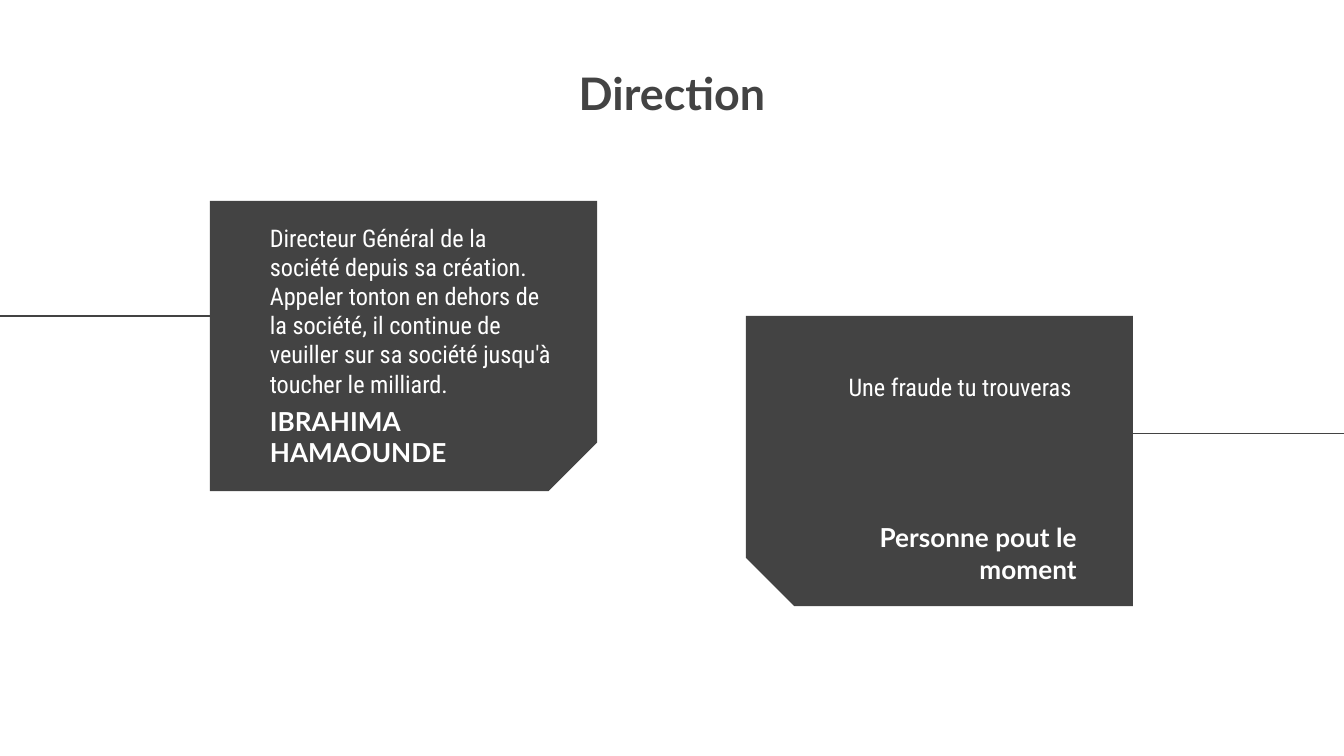
from dataclasses import dataclass

from lxml.etree import SubElement
from pptx import Presentation
from pptx.dml.color import RGBColor
from pptx.enum.shapes import MSO_CONNECTOR as Connector, MSO_SHAPE as Shape
from pptx.enum.text import MSO_ANCHOR as Anchor, PP_ALIGN as Align
from pptx.oxml.ns import qn
from pptx.util import Pt


@dataclass(frozen=True)
class Theme:
    """Colours, fonts and type sizes of the slide."""
    dark: RGBColor = RGBColor(0x43, 0x43, 0x43)
    light: RGBColor = RGBColor(0xFF, 0xFF, 0xFF)
    heading_font: str = "Lato"
    body_font: str = "Roboto Condensed"
    title_size: float = 24
    name_size: float = 14
    body_size: float = 13
    rule_width: float = 0.75


THEME = Theme()
SLIDE_W, SLIDE_H = 720, 405
CARD_W, CARD_H = 207.4, 155.5
TITLE = dict(name=THEME.heading_font, size=Pt(THEME.title_size), bold=True)
NAME = dict(name=THEME.heading_font, size=Pt(THEME.name_size), bold=True)
BODY = dict(name=THEME.body_font, size=Pt(THEME.body_size), bold=False)


def add_text(slide, box, words, style, color, align, anchor=Anchor.TOP):
    """Place one wrapped paragraph in box (left, top, width, height)."""
    frame = slide.shapes.add_textbox(*map(Pt, box)).text_frame
    margins = dict.fromkeys(
        ("margin_left", "margin_top", "margin_right", "margin_bottom"), Pt(7.2))
    for key, value in dict(margins, word_wrap=True, vertical_anchor=anchor).items():
        setattr(frame, key, value)
    paragraph = frame.paragraphs[0]
    paragraph.alignment = align
    run = paragraph.add_run()
    run.text = words
    for key, value in style.items():
        setattr(run.font, key, value)
    run.font.color.rgb = color


def add_panel(slide, box, mirrored):
    """Fill box with a panel snipped at its lower right, or lower left if mirrored."""
    left, top, width, height = box
    shift = (width - height) / 2
    panel = slide.shapes.add_shape(
        Shape.SNIP_1_RECTANGLE, Pt(left + shift), Pt(top - shift), Pt(height), Pt(width))
    panel.adjustments[0] = 0.167
    panel.rotation = 270 if mirrored else 90
    if mirrored:
        panel._element.spPr.find(qn("a:xfrm")).set("flipH", "1")
    panel.shadow.inherit = False
    panel.fill.solid()
    panel.fill.fore_color.rgb = THEME.dark
    panel.line.fill.background()


def add_rule(slide, start, end, y):
    """Draw a thin horizontal rule from start to end."""
    rule = slide.shapes.add_connector(
        Connector.STRAIGHT, Pt(start), Pt(y), Pt(end), Pt(y))
    rule.line.color.rgb = THEME.dark
    rule.line.width = Pt(THEME.rule_width)
    SubElement(rule._element.spPr, qn("a:effectLst"))


def add_person(slide, box, mirrored, rule_y, body, body_box, name, name_box):
    """Build a card in box; text boxes are (inset, top, width, height) from its outer side."""
    left, top, width, height = box
    add_panel(slide, box, mirrored)
    if mirrored:
        add_rule(slide, left + width / 2, SLIDE_W, top + rule_y)
    else:
        add_rule(slide, left + width / 2, 0, top + rule_y)
    align = Align.RIGHT if mirrored else Align.LEFT
    for words, area, style, anchor in (
            (name, name_box, NAME, Anchor.BOTTOM), (body, body_box, BODY, Anchor.TOP)):
        inset, down, text_w, text_h = area
        text_left = left + (width - inset - text_w if mirrored else inset)
        add_text(slide, (text_left, top + down, text_w, text_h),
                 words, style, THEME.light, align, anchor)


def main():
    """Build and save the slide."""
    deck = Presentation()
    deck.slide_width, deck.slide_height = Pt(SLIDE_W), Pt(SLIDE_H)
    slide = deck.slides.add_slide(deck.slide_layouts[6])
    add_text(slide, (154.8, 28.1, 410.4, 74.2), "Direction", TITLE, THEME.dark, Align.CENTER)
    add_person(
        slide, (112.5, 107.6, CARD_W, CARD_H), False, 61.6,
        "Directeur Général de la société depuis sa création. Appeler tonton en dehors "
        "de la société, il continue de veuiller sur sa société jusqu'à toucher le milliard.",
        (25, 4.7, 169.9, 101.5),
        "IBRAHIMA HAMAOUNDE", (25, 110.6, 109.4, 39.6))
    add_person(
        slide, (399.5, 169.2, CARD_W, CARD_H), True, 63.2,
        "Une fraude tu trouveras ", (23, 23, 169.9, 79.2),
        "Personne pout le moment", (23, 117.4, 140.4, 33.8))
    deck.save("out.pptx")


if __name__ == "__main__":
    main()
